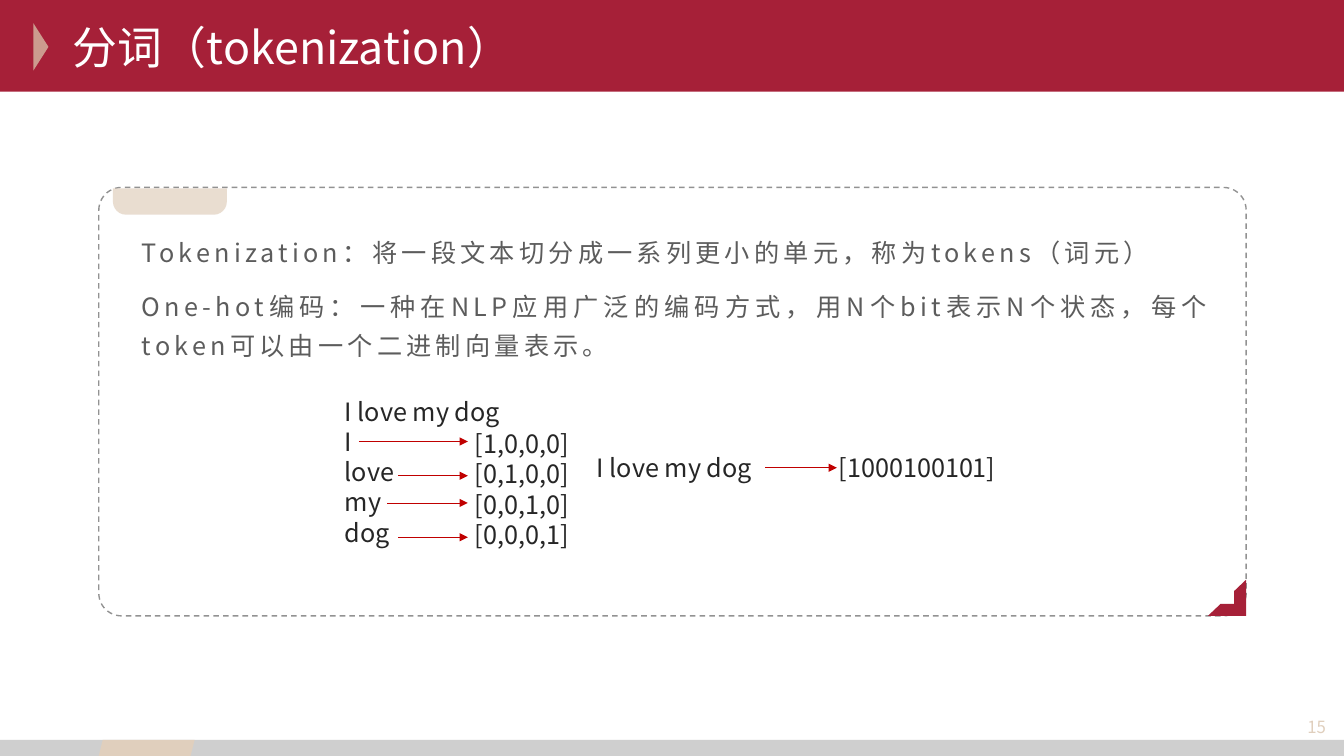
from lxml import etree
from pptx import Presentation, util as u
from pptx.dml.color import RGBColor
from pptx.enum import dml, shapes, text
from pptx.oxml.ns import qn

HUES = {
    "red": "A62038", "rose": "CC9B8E", "gray": "BFBFBF", "sand": "E0CFBD",
    "white": "FFFFFF", "body": "5C5C5C", "ink": "262626",
    "dash": "929292", "arrow": "C00000",
}
KIND = shapes.MSO_SHAPE
ALIGN = text.PP_ALIGN
MID = text.MSO_ANCHOR.MIDDLE


class Deck:
    """Style and current slide; lengths are on a grid of 100 columns by 100 rows."""

    face = "Noto Sans CJK SC"

    def __init__(self):
        self.prs = Presentation()
        self.prs.slide_width = u.Inches(13.33)
        self.prs.slide_height = u.Inches(7.5)
        self.slide = self.prs.slides.add_slide(self.prs.slide_layouts[6])

    def grid(self, *vals):
        sides = (self.prs.slide_width, self.prs.slide_height) * 2
        return [u.Emu(round(v * side / 100)) for v, side in zip(vals, sides)]

    def hue(self, name):
        return RGBColor.from_string(HUES[name])

    def shape(self, kind, box, fill=None, alpha=None, turn=0, adj=()):
        item = self.slide.shapes.add_shape(kind, *self.grid(*box))
        item.shadow.inherit = False
        item.rotation = turn
        for i, val in enumerate(adj):
            item.adjustments[i] = val
        item.line.fill.background()
        if fill is None:
            item.fill.background()
            return item
        item.fill.solid()
        item.fill.fore_color.rgb = self.hue(fill)
        if alpha:
            tint = item.fill._xPr.find(qn("a:solidFill"))[0]
            etree.SubElement(tint, qn("a:alpha")).set("val", str(alpha * 1000))
        return item

    def frame(self, box, adj):
        item = self.shape(KIND.ROUNDED_RECTANGLE, box, adj=adj)
        item.line.color.rgb = self.hue("dash")
        item.line.width = u.Pt(1)
        item.line.dash_style = dml.MSO_LINE.DASH

    def text(self, box, lines, size=18, hue="ink", align=ALIGN.LEFT, anchor=None,
             wrap=True, grow=False, lead=None, gap=0, track=0):
        frame = self.slide.shapes.add_textbox(*self.grid(*box)).text_frame
        frame.word_wrap = wrap
        if grow:
            frame.auto_size = text.MSO_AUTO_SIZE.SHAPE_TO_FIT_TEXT
        if anchor is not None:
            frame.vertical_anchor = anchor
        for i, line in enumerate(lines):
            para = frame.add_paragraph() if i else frame.paragraphs[0]
            para.text = line
            para.alignment = align
            if lead:
                para.line_spacing = lead
            if i and gap:
                para.space_before = u.Pt(gap)
            font = para.font
            font.size, font.name = u.Pt(size), self.face
            font.color.rgb = self.hue(hue)
            etree.SubElement(font._rPr, qn("a:ea")).set("typeface", self.face)
            if track:
                font._rPr.set("spc", str(track * 100))

    def arrow(self, left, right, row):
        item = self.slide.shapes.add_connector(
            shapes.MSO_CONNECTOR.STRAIGHT, *self.grid(left, row, right, row))
        item.line.color.rgb = self.hue("arrow")
        item.line.width = u.Pt(0.5)
        etree.SubElement(item.line._get_or_add_ln(), qn("a:tailEnd")).set("type", "triangle")
        etree.SubElement(item._element.spPr, qn("a:effectLst"))


def main():
    deck = Deck()

    # Header and footer bands
    deck.shape(KIND.RECTANGLE, (0, 0, 100, 12.13), "red")
    deck.shape(KIND.ISOSCELES_TRIANGLE, (1.28, 5.2, 3.53, 2), "rose", turn=90)
    deck.shape(KIND.RECTANGLE, (0, 97.87, 100, 2.13), "gray", alpha=75)
    deck.shape(KIND.PARALLELOGRAM, (7.35, 97.87, 7.13, 2.13), "sand")

    # Title, definitions and page number
    deck.text((4.65, 1.87, 80.2, 8.67), ["分词（tokenization）"], 32, "white", anchor=MID)
    deck.text((9.83, 29.6, 81.02, 47.07), [
        "Tokenization：将一段文本切分成一系列更小的单元，称为tokens（词元）",
        "One-hot编码：一种在NLP应用广泛的编码方式，用N个bit表示N个状态，"
        "每个token可以由一个二进制向量表示。",
    ], hue="body", align=ALIGN.JUSTIFY, lead=1.3, gap=10, track=3)
    deck.text((90.92, 93.6, 8.48, 5.07), ["15"], 12, "sand", ALIGN.RIGHT, MID)

    # Dashed card with its tab and corner
    deck.frame((7.35, 24.8, 85.37, 56.67), (0.053,))
    deck.shape(KIND.ROUND_2_SAME_RECTANGLE, (8.4, 24.93, 8.48, 3.47), "sand",
               alpha=70, turn=180, adj=(0.5, 0))
    deck.shape(KIND.HALF_FRAME, (89.87, 76.67, 2.85, 4.8), "red", turn=180)

    # One vector per word
    words = "I love my dog"
    deck.text((24.91, 51.73, 13.95, 33.6), [words, *words.split()], wrap=False, grow=True)
    for left, row in ((26.71, 58.4), (29.63, 62.93), (28.81, 66.53), (29.63, 71.07)):
        deck.arrow(left, 34.81, row)
    codes = ["[" + ",".join(str(int(i == j)) for j in range(4)) + "]" for i in range(4)]
    deck.text((34.58, 56, 8.55, 25.6), codes, wrap=False, grow=True)

    # One code for the whole sentence
    deck.text((43.66, 59.2, 50.04, 5.33), [words], grow=True)
    deck.arrow(56.94, 62.27, 61.87)
    deck.text((61.67, 59.2, 13.8, 5.33), ["[1000100101]"], wrap=False, grow=True)

    deck.prs.save("out.pptx")


if __name__ == "__main__":
    main()
